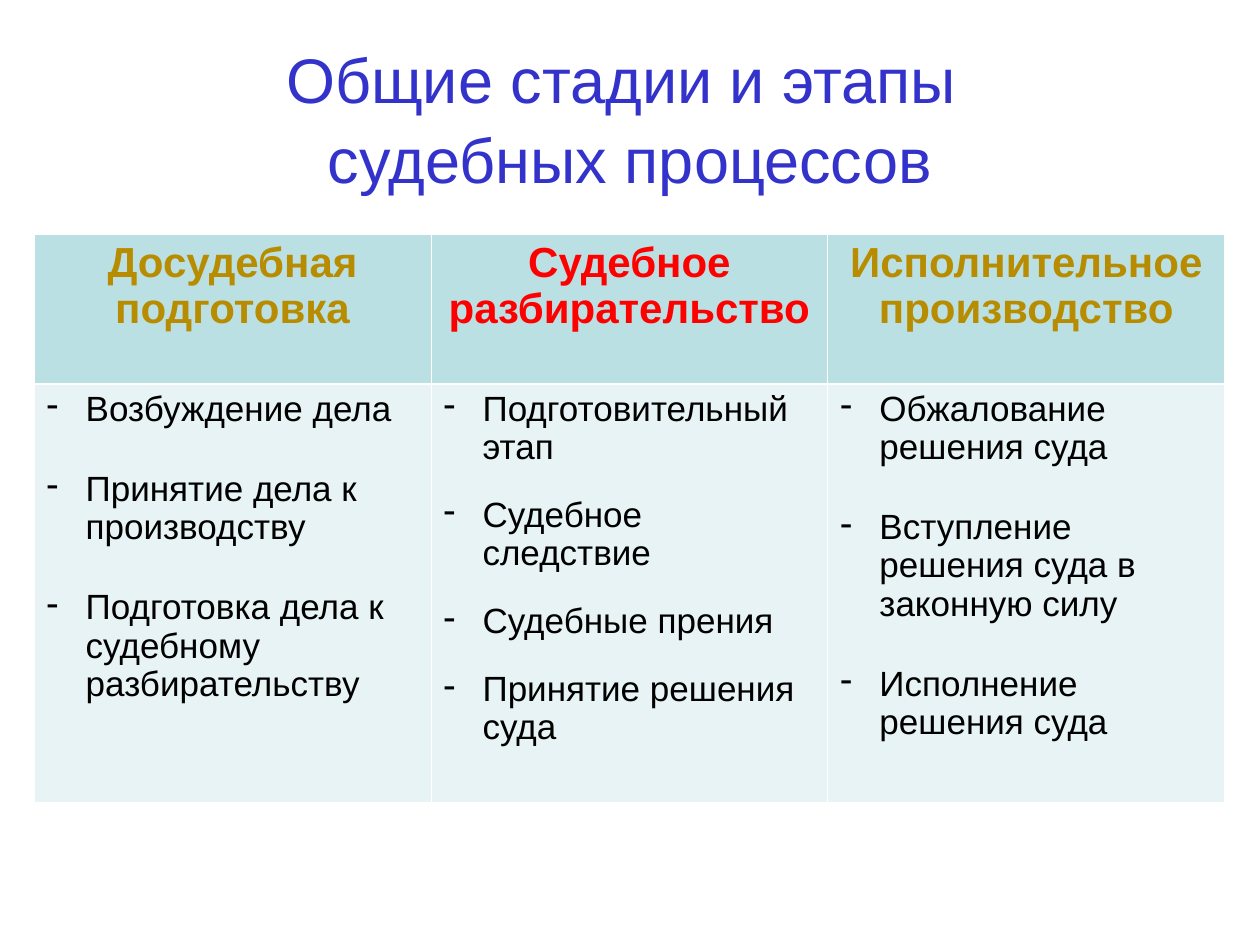
import lxml.etree
import pptx
import pptx.dml.color
import pptx.enum.text
import pptx.oxml.ns
import pptx.util

FONT = "Arial"
COLUMN_WIDTH = 3.15
ROW_HEIGHTS = (1.19, 3.32)
INDENT = 0.31
HEADER_FILL, BODY_FILL = "BBE0E3", "E7F3F4"
THIN, THICK = 0.45, 1.47

STAGES = [
    ("Досудебная подготовка", "B88C00", 24,
     ["Возбуждение дела", "Принятие дела к производству",
      "Подготовка дела к судебному разбирательству"]),
    ("Судебное разбирательство ", "FF0000", 17,
     ["Подготовительный этап", "Судебное следствие", "Судебные прения",
      "Принятие решения суда"]),
    ("Исполнительное производство", "B88C00", 24,
     ["Обжалование решения суда", "Вступление решения суда в законную силу",
      "Исполнение решения суда"]),
]


def color(code):
    """Turn a hex string into a colour."""
    return pptx.dml.color.RGBColor.from_string(code)


def add_element(parent, tag, **attributes):
    """Append a DrawingML element with the given attributes."""
    values = {name: str(value) for name, value in attributes.items()}
    return lxml.etree.SubElement(parent, pptx.oxml.ns.qn(tag), values)


def add_bullet(para):
    """Give a paragraph a black dash with a hanging indent."""
    properties = para._p.get_or_add_pPr()
    indent = pptx.util.Inches(INDENT)
    properties.set("marL", str(indent))
    properties.set("indent", str(-indent))
    add_element(add_element(properties, "a:buClr"), "a:srgbClr", val="000000")
    add_element(properties, "a:buChar", char="-")


def write(frame, texts, size, code="000000", bold=False, center=False,
          bullet=False, gap=0, spacing=0.98):
    """Write one paragraph per text in a single format."""
    for index, text in enumerate(texts):
        para = frame.add_paragraph() if index else frame.paragraphs[0]
        para.text = text
        if bullet:
            add_bullet(para)
        if center:
            para.alignment = pptx.enum.text.PP_ALIGN.CENTER
        para.line_spacing = spacing
        para.space_before = pptx.util.Pt(gap if index else 0)
        for span in para.runs:
            span.font.name = FONT
            span.font.size = pptx.util.Pt(size)
            span.font.bold = bold
            span.font.color.rgb = color(code)


def style_cell(cell, fill, top, bottom):
    """Draw white borders around a cell and fill it."""
    properties = cell._tc.get_or_add_tcPr()
    for side, width in zip("LRTB", (THIN, THIN, top, bottom)):
        line = add_element(properties, f"a:ln{side}", w=pptx.util.Pt(width))
        add_element(add_element(line, "a:solidFill"), "a:srgbClr", val="FFFFFF")
    cell.fill.solid()
    cell.fill.fore_color.rgb = color(fill)


def add_title(page, width):
    """Add the centred two-line title."""
    box = page.shapes.add_textbox(width * 0.05, width * 0.03,
                                  width * 0.9, width * 0.125)
    box.text_frame.word_wrap = True
    box.text_frame.vertical_anchor = pptx.enum.text.MSO_ANCHOR.MIDDLE
    write(box.text_frame, ["Общие стадии и этапы \vсудебных процессов"], 36,
          code="3333CC", center=True, spacing=1.05)


def add_stages(page):
    """Add the table with one column per stage."""
    inches = pptx.util.Inches
    table = page.shapes.add_table(
        len(ROW_HEIGHTS), len(STAGES), inches(0.27), inches(1.86),
        inches(COLUMN_WIDTH * len(STAGES)), inches(sum(ROW_HEIGHTS))).table
    table.horz_banding = False
    for row, height in zip(table.rows, ROW_HEIGHTS):
        row.height = inches(height)
    for index, (heading, code, gap, steps) in enumerate(STAGES):
        table.columns[index].width = inches(COLUMN_WIDTH)
        header, body = table.cell(0, index), table.cell(1, index)
        style_cell(header, HEADER_FILL, THIN, THICK)
        style_cell(body, BODY_FILL, THICK, THIN)
        write(header.text_frame, [heading], 24, code=code, bold=True, center=True)
        write(body.text_frame, steps, 20, bullet=True, gap=gap)


def main():
    """Build the slide and save the deck."""
    deck = pptx.Presentation()
    deck.slide_width = pptx.util.Inches(10)
    deck.slide_height = pptx.util.Inches(7.5)
    page = deck.slides.add_slide(deck.slide_layouts[6])
    add_title(page, deck.slide_width)
    add_stages(page)
    deck.save("out.pptx")


if __name__ == "__main__":
    main()
